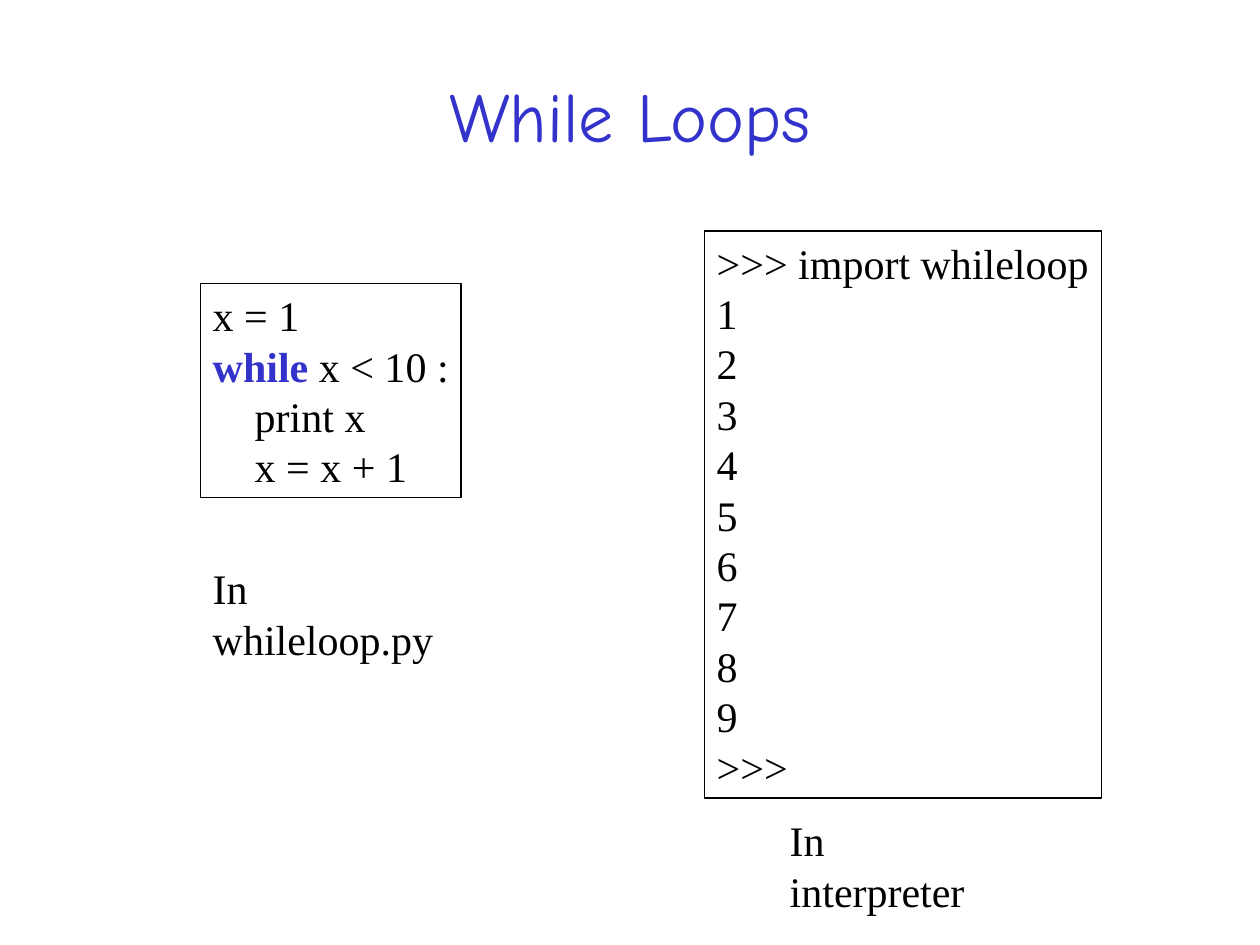
from pptx import Presentation
from pptx.dml.color import RGBColor
from pptx.enum import shapes, text
from pptx.util import Pt

BLUE, BLACK = "3333CC", "000000"
SERIF = "Times New Roman"
SIZE, PITCH, INDENT = 24, 28.8, 24


def rgb(code):
    """Turn a hex string into a colour."""
    return RGBColor.from_string(code)


def add_run(para, words, size=SIZE, font=SERIF, color=BLACK, bold=False):
    """Add one styled run to a paragraph."""
    run = para.add_run()
    run.text = words
    run.font.size = Pt(size)
    run.font.name = font
    run.font.bold = bold
    run.font.color.rgb = rgb(color)


def add_title(slide, box, words):
    """Place the centred slide title."""
    frame = slide.shapes.add_textbox(*map(Pt, box)).text_frame
    frame.word_wrap = True
    frame.vertical_anchor = text.MSO_ANCHOR.MIDDLE
    para = frame.paragraphs[0]
    para.alignment = text.PP_ALIGN.CENTER
    add_run(para, words, 40, "Comic Neue", BLUE)


def fill_lines(frame, lines):
    """Write (indent, runs) lines, where each run is (words, keyword or not)."""
    frame.word_wrap = False
    frame.vertical_anchor = text.MSO_ANCHOR.TOP
    for i, (depth, runs) in enumerate(lines):
        para = frame.add_paragraph() if i else frame.paragraphs[0]
        para.alignment = text.PP_ALIGN.LEFT
        para.line_spacing = Pt(PITCH)
        if depth:
            props = para._p.get_or_add_pPr()
            props.set("marL", str(Pt(depth * INDENT)))
            props.set("indent", "0")
        for words, key in runs:
            add_run(para, words, color=BLUE if key else BLACK, bold=key)


def add_code(slide, box, lines):
    """Place an outlined box of code lines."""
    rect = slide.shapes.add_shape(shapes.MSO_SHAPE.RECTANGLE, *map(Pt, box))
    rect.shadow.inherit = False
    rect.fill.background()
    rect.line.color.rgb = rgb(BLACK)
    rect.line.width = Pt(0.75)
    fill_lines(rect.text_frame, lines)


def add_label(slide, box, words):
    """Place a one-line caption."""
    label = slide.shapes.add_textbox(*map(Pt, box))
    fill_lines(label.text_frame, [(0, [(words, False)])])


def main():
    """Build and save the slide."""
    deck = Presentation()
    deck.slide_width, deck.slide_height = Pt(720), Pt(540)
    slide = deck.slides.add_slide(deck.slide_layouts[6])

    source = [
        (0, [("x = 1", False)]),
        (0, [("while", True), (" x < 10 :", False)]),
        (1, [("print x", False)]),
        (1, [("x = x + 1", False)]),
    ]
    shell = [">>> import whileloop", *map(str, range(1, 10)), ">>>"]
    output = [(0, [(line, False)]) for line in shell]

    add_title(slide, (54, 26, 612, 79), "While Loops")
    add_code(slide, (114.5, 162, 149, 122.4), source)
    add_code(slide, (402.5, 132, 227, 324), output)
    add_label(slide, (114.5, 318, 166, 36), "In whileloop.py")
    add_label(slide, (444.2, 462, 140, 36), "In interpreter")
    deck.save("out.pptx")


if __name__ == "__main__":
    main()
